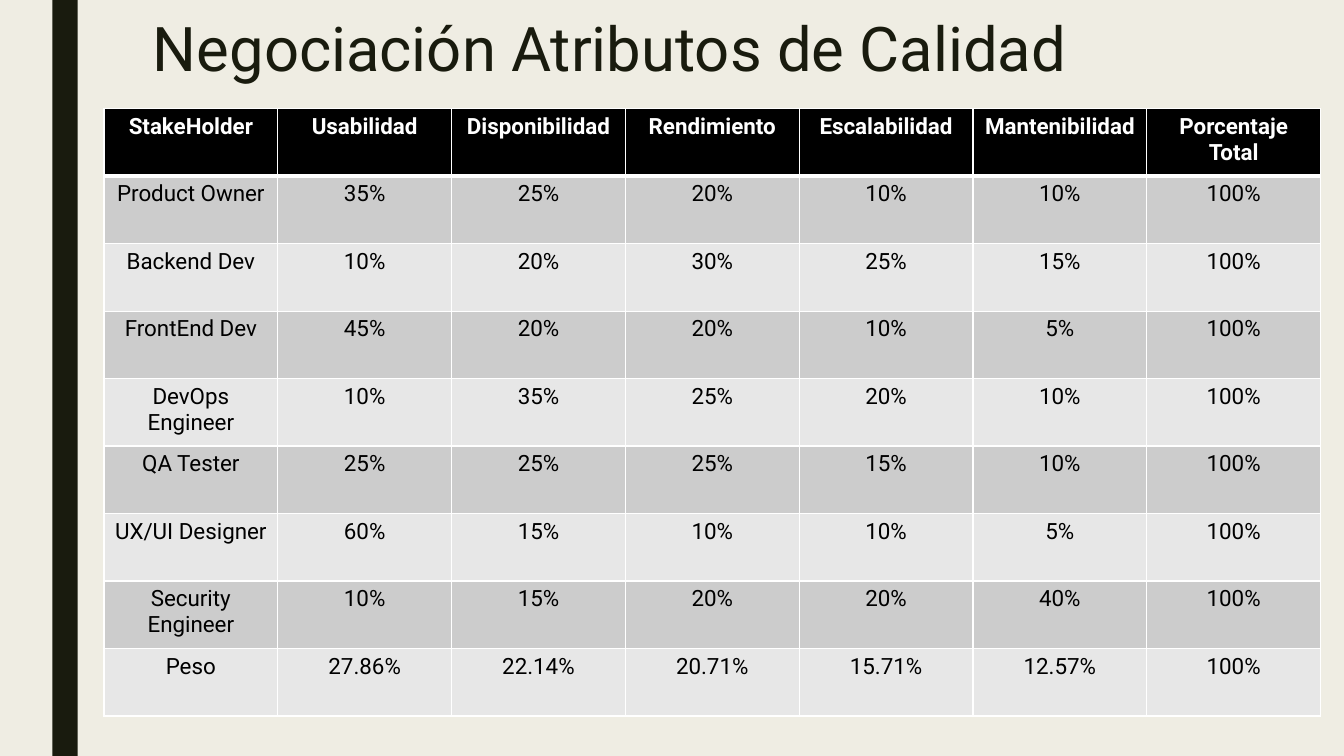
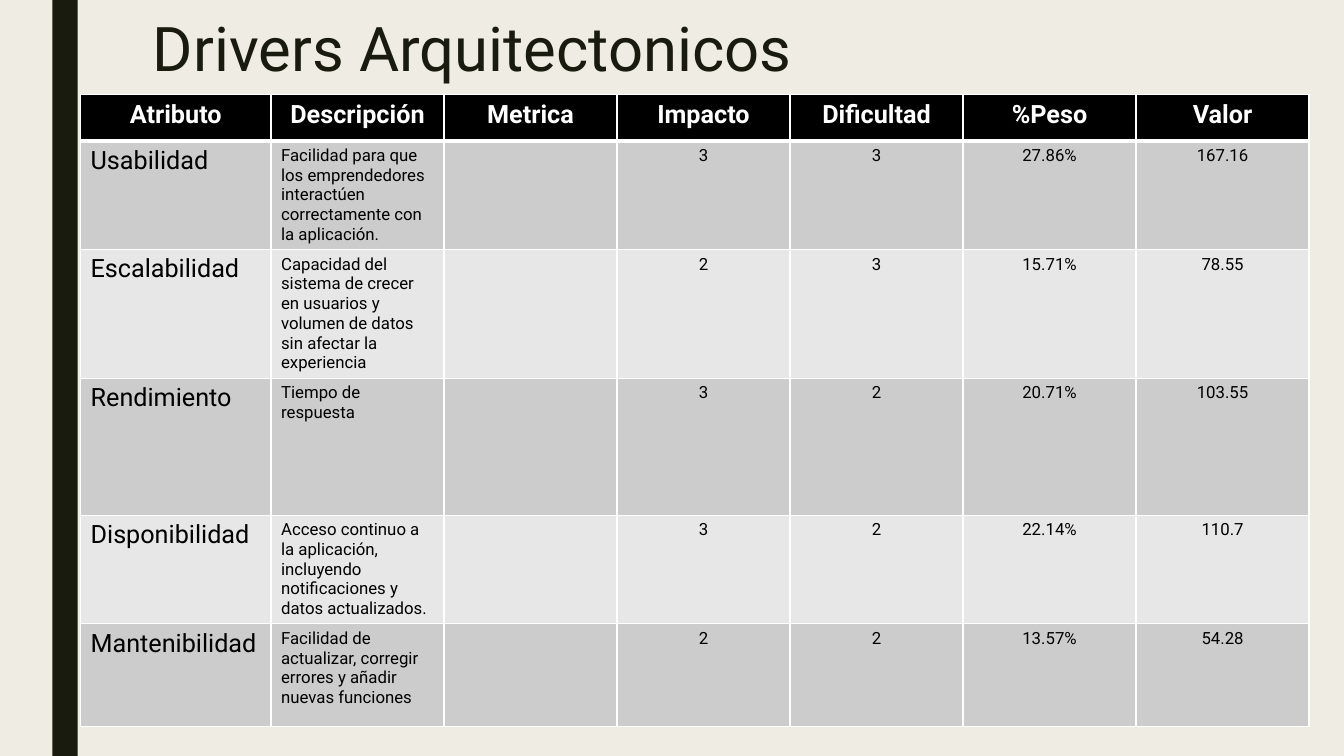
from dataclasses import dataclass

import pptx
import pptx.dml.color
import pptx.enum.shapes
import pptx.enum.text
import pptx.oxml
import pptx.oxml.ns
import pptx.presentation
import pptx.slide
import pptx.table
import pptx.text.text
import pptx.util
from pptx.util import Cm

FONT = "Roboto"
DARK = "191B0E"
CREAM = "EFEDE3"
BLACK = "000000"
WHITE = "FFFFFF"
ROW_FILLS = ("CCCCCC", "E7E7E7")
SLIDE_HEIGHT = Cm(19.05)
CENTER = pptx.enum.text.PP_ALIGN.CENTER
LEFT = pptx.enum.text.PP_ALIGN.LEFT


@dataclass(frozen=True)
class Column:
    heading: str
    width: float
    size: int
    align: pptx.enum.text.PP_ALIGN = CENTER


@dataclass(frozen=True)
class TableSlide:
    """Title and table of one slide; left, top and row heights are in cm."""
    title: str
    left: float
    top: float
    heading_size: int
    columns: list[Column]
    row_heights: list[float]
    rows: list[tuple[str, ...]]


STAKEHOLDER_ROWS = [
    ("Product Owner", "35%", "25%", "20%", "10%", "10%", "100%"),
    ("Backend Dev", "10%", "20%", "30%", "25%", "15%", "100%"),
    ("FrontEnd Dev", "45%", "20%", "20%", "10%", "5%", "100%"),
    ("DevOps Engineer", "10%", "35%", "25%", "20%", "10%", "100%"),
    ("QA Tester", "25%", "25%", "25%", "15%", "10%", "100%"),
    ("UX/UI Designer", "60%", "15%", "10%", "10%", "5%", "100%"),
    ("Security Engineer", "10%", "15%", "20%", "20%", "40%", "100%"),
    ("Peso", "27.86%", "22.14%", "20.71%", "15.71%", "12.57%", "100%"),
]

DRIVER_ROWS = [
    ("Usabilidad",
     "Facilidad para que los emprendedores interactúen correctamente con la aplicación.",
     "", "3", "3", "27.86%", "167.16"),
    ("Escalabilidad",
     "Capacidad del sistema de crecer en usuarios y volumen de datos sin afectar la experiencia",
     "", "2", "3", "15.71%", "78.55"),
    ("Rendimiento", "Tiempo de respuesta", "", "3", "2", "20.71%", "103.55"),
    ("Disponibilidad",
     "Acceso continuo a la aplicación, incluyendo notificaciones y datos actualizados.",
     "", "3", "2", "22.14%", "110.7"),
    ("Mantenibilidad",
     "Facilidad de actualizar, corregir errores y añadir nuevas funciones",
     "", "2", "2", "13.57%", "54.28"),
]

NEGOTIATION = TableSlide(
    title="Negociación Atributos de Calidad",
    left=2.62, top=2.74, heading_size=16,
    columns=[Column(heading, 4.38, 16) for heading in (
        "StakeHolder", "Usabilidad", "Disponibilidad", "Rendimiento",
        "Escalabilidad", "Mantenibilidad", "Porcentaje Total")],
    row_heights=[1.7] * (len(STAKEHOLDER_ROWS) + 1),
    rows=STAKEHOLDER_ROWS,
)

DRIVERS = TableSlide(
    title="Drivers Arquitectonicos",
    left=2.03, top=2.39, heading_size=18,
    columns=[
        Column("Atributo", 4.8, 18, LEFT),
        Column("Descripción", 4.36, 12, LEFT),
        *(Column(heading, 4.36, 12) for heading in (
            "Metrica", "Impacto", "Dificultad", "%Peso", "Valor")),
    ],
    row_heights=[1.16, 2.74, 3.24, 3.45, 2.74, 2.59],
    rows=DRIVER_ROWS,
)


def rgb(hex_colour: str) -> pptx.dml.color.RGBColor:
    return pptx.dml.color.RGBColor.from_string(hex_colour)


def format_runs(paragraph: pptx.text.text._Paragraph, size: int, colour: str,
                bold: bool = False) -> None:
    for run in paragraph.runs:
        run.font.name = FONT
        run.font.size = pptx.util.Pt(size)
        run.font.bold = bold
        run.font.color.rgb = rgb(colour)


def add_border(cell: pptx.table._Cell, side: str, points: float) -> None:
    """Add a white border; side is L, R, T or B, added in that order."""
    cell._tc.get_or_add_tcPr().append(pptx.oxml.parse_xml(
        f'<a:ln{side} {pptx.oxml.ns.nsdecls("a")} w="{pptx.util.Pt(points)}">'
        f'<a:solidFill><a:srgbClr val="{WHITE}"/></a:solidFill></a:ln{side}>'))


def fill_cell(cell: pptx.table._Cell, text: str, column: Column, row_index: int,
              heading_size: int) -> None:
    is_heading = row_index == 0
    borders = {"L": 1, "R": 1, "T": 1, "B": 3} if is_heading else {"L": 1, "R": 1, "B": 1}
    for side, points in borders.items():
        add_border(cell, side, points)
    cell.fill.solid()
    cell.fill.fore_color.rgb = rgb(BLACK if is_heading else ROW_FILLS[(row_index - 1) % 2])
    if not text:
        return
    cell.text_frame.text = text
    paragraph = cell.text_frame.paragraphs[0]
    paragraph.alignment = CENTER if is_heading else column.align
    if is_heading:
        format_runs(paragraph, heading_size, WHITE, bold=True)
    else:
        format_runs(paragraph, column.size, BLACK)


def add_title(slide: pptx.slide.Slide, text: str) -> None:
    title = slide.shapes.title
    title.left, title.top, title.width, title.height = Cm(3.6), Cm(0.33), Cm(26.67), Cm(1.93)
    frame = title.text_frame
    frame.text = text
    frame.word_wrap = True
    frame.auto_size = pptx.enum.text.MSO_AUTO_SIZE.NONE
    frame.vertical_anchor = pptx.enum.text.MSO_ANCHOR.BOTTOM
    paragraph = frame.paragraphs[0]
    paragraph.alignment = LEFT
    paragraph.line_spacing = 0.89
    format_runs(paragraph, 44, DARK)


def add_table(slide: pptx.slide.Slide, content: TableSlide) -> None:
    width = sum(column.width for column in content.columns)
    table = slide.shapes.add_table(
        len(content.row_heights), len(content.columns), Cm(content.left), Cm(content.top),
        Cm(width), Cm(sum(content.row_heights))).table
    for table_column, column in zip(table.columns, content.columns):
        table_column.width = Cm(column.width)
    for table_row, height in zip(table.rows, content.row_heights):
        table_row.height = Cm(height)
    headings = tuple(column.heading for column in content.columns)
    for row_index, texts in enumerate([headings, *content.rows]):
        for column_index, (text, column) in enumerate(zip(texts, content.columns)):
            fill_cell(table.cell(row_index, column_index), text, column, row_index,
                      content.heading_size)


def add_side_band(slide: pptx.slide.Slide) -> None:
    """Draw the band and move it to the layout, so that all slides share it."""
    band = slide.shapes.add_shape(
        pptx.enum.shapes.MSO_SHAPE.RECTANGLE, Cm(1.32), 0, Cm(0.64), SLIDE_HEIGHT)
    band.shadow.inherit = False
    band.fill.solid()
    band.fill.fore_color.rgb = rgb(DARK)
    band.line.fill.background()
    slide.slide_layout.shapes.element.append(band.element)


def main() -> None:
    deck = pptx.Presentation()
    deck.slide_width, deck.slide_height = Cm(33.87), SLIDE_HEIGHT
    background = deck.slide_master.background.fill
    background.solid()
    background.fore_color.rgb = rgb(CREAM)
    title_only = deck.slide_layouts.get_by_name("Title Only")
    for content in (NEGOTIATION, DRIVERS):
        slide = deck.slides.add_slide(title_only)
        if content is NEGOTIATION:
            add_side_band(slide)
        add_title(slide, content.title)
        add_table(slide, content)
    deck.save("out.pptx")


if __name__ == "__main__":
    main()
